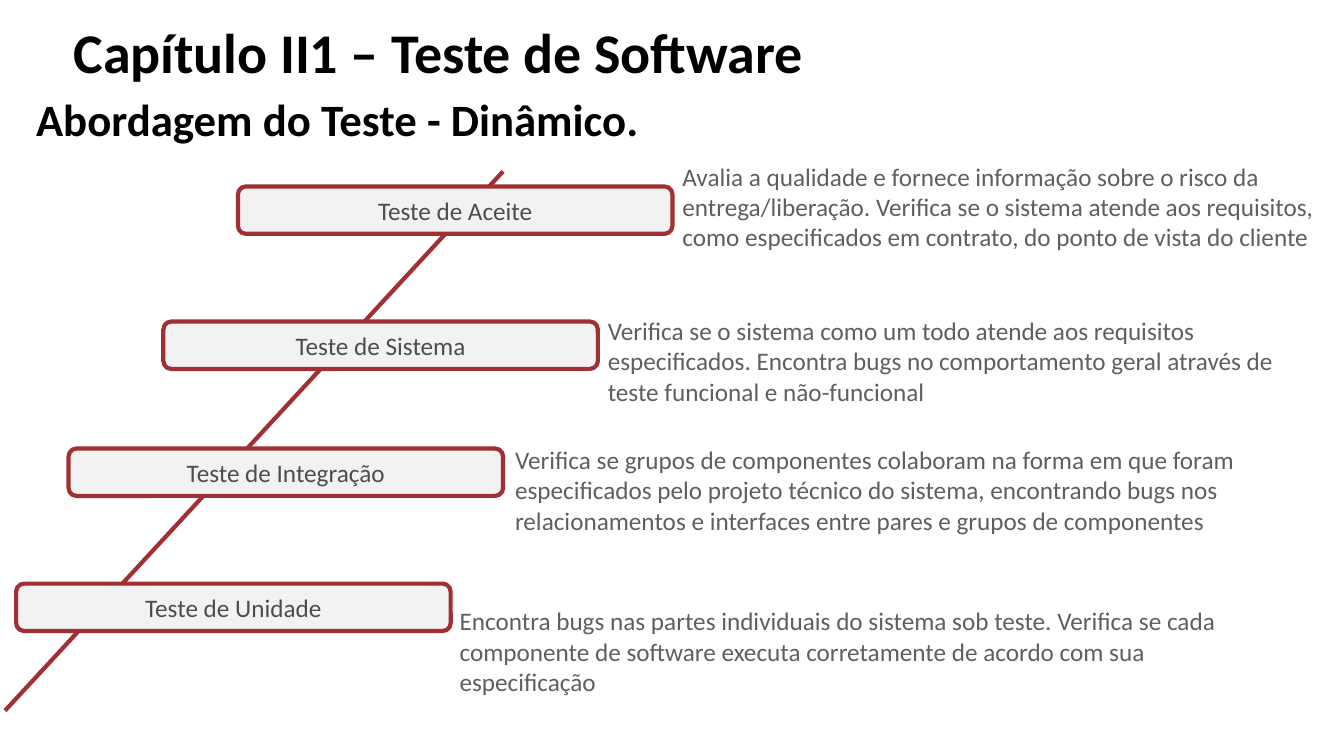
from lxml.etree import SubElement
from pptx import Presentation
from pptx.dml.color import RGBColor
from pptx.enum.shapes import MSO_CONNECTOR, MSO_SHAPE
from pptx.enum.text import MSO_ANCHOR, PP_ALIGN
from pptx.oxml.ns import qn
from pptx.util import Inches, Pt


def color(value):
    return RGBColor.from_string(value)


class Deck:
    FONT = "Calibri"
    RED = "A03033"
    BOX_FILL = "F2F2F2"
    LABEL = "4D4D4D"
    BODY = "5F5F5F"
    BLACK = "000000"
    LINE_WIDTH = Pt(3)

    def __init__(self, slide):
        self.s = slide

    def add_run(self, p, text, size, hex_color, bold=False):
        r = p.add_run()
        r.text = text
        r.font.name = self.FONT
        r.font.size = Pt(size)
        r.font.bold = bold
        r.font.color.rgb = color(hex_color)

    def text(self, x, y, w, h, text, size=18, hex_color=BODY, bold=False):
        tf = self.s.shapes.add_textbox(
            Inches(x), Inches(y), Inches(w), Inches(h)).text_frame
        tf.word_wrap = True
        self.add_run(tf.paragraphs[0], text, size, hex_color, bold)

    def line(self, x1, y1, x2, y2):
        c = self.s.shapes.add_connector(
            MSO_CONNECTOR.STRAIGHT, Inches(x1), Inches(y1), Inches(x2), Inches(y2))
        c.line.color.rgb = color(self.RED)
        c.line.width = self.LINE_WIDTH
        SubElement(c._element.spPr, qn("a:effectLst"))

    def box(self, x, y, w, h, label):
        sp = self.s.shapes.add_shape(
            MSO_SHAPE.ROUNDED_RECTANGLE, Inches(x), Inches(y), Inches(w), Inches(h))
        sp.shadow.inherit = False
        sp.fill.solid()
        sp.fill.fore_color.rgb = color(self.BOX_FILL)
        sp.line.color.rgb = color(self.RED)
        sp.line.width = self.LINE_WIDTH
        tf = sp.text_frame
        tf.word_wrap = False
        tf.vertical_anchor = MSO_ANCHOR.MIDDLE
        p = tf.paragraphs[0]
        p.alignment = PP_ALIGN.CENTER
        self.add_run(p, label, 18, self.LABEL)


# label, box left and top, description left, top and width, description
LEVELS = [
    ("Teste de Aceite", 2.36, 1.85, 6.67, 1.55, 6.67,
     "Avalia a qualidade e fornece informação sobre o risco da entrega/liberação. "
     "Verifica se o sistema atende aos requisitos, como especificados em contrato, "
     "do ponto de vista do cliente"),
    ("Teste de Sistema", 1.62, 3.19, 5.93, 3.08, 7.04,
     "Verifica se o sistema como um todo atende aos requisitos especificados. "
     "Encontra bugs no comportamento geral através de teste funcional e não-funcional"),
    ("Teste de Integração", 0.68, 4.45, 5.01, 4.36, 8.32,
     "Verifica se grupos de componentes colaboram na forma em que foram especificados "
     "pelo projeto técnico do sistema, encontrando bugs nos relacionamentos e "
     "interfaces entre pares e grupos de componentes"),
    ("Teste de Unidade", 0.16, 5.79, 4.46, 5.96, 8.32,
     "Encontra bugs nas partes individuais do sistema sob teste. Verifica se cada "
     "componente de software executa corretamente de acordo com sua especificação"),
]


def main():
    prs = Presentation()
    prs.slide_width = Inches(13.33)
    prs.slide_height = Inches(7.5)
    deck = Deck(prs.slides.add_slide(prs.slide_layouts[6]))

    deck.text(0.63, 0.12, 12.67, 0.77, "Capítulo II1 – Teste de Software",
              40, deck.BLACK, True)
    deck.text(0.26, 0.86, 7.74, 0.64, "Abordagem do Teste - Dinâmico.",
              32, deck.BLACK, True)
    deck.line(0.05, 7.05, 4.99, 1.7)
    for label, box_x, box_y, text_x, text_y, text_w, description in LEVELS:
        deck.box(box_x, box_y, 4.31, 0.47, label)
        deck.text(text_x, text_y, text_w, 1.01, description)

    prs.save("out.pptx")


if __name__ == "__main__":
    main()
